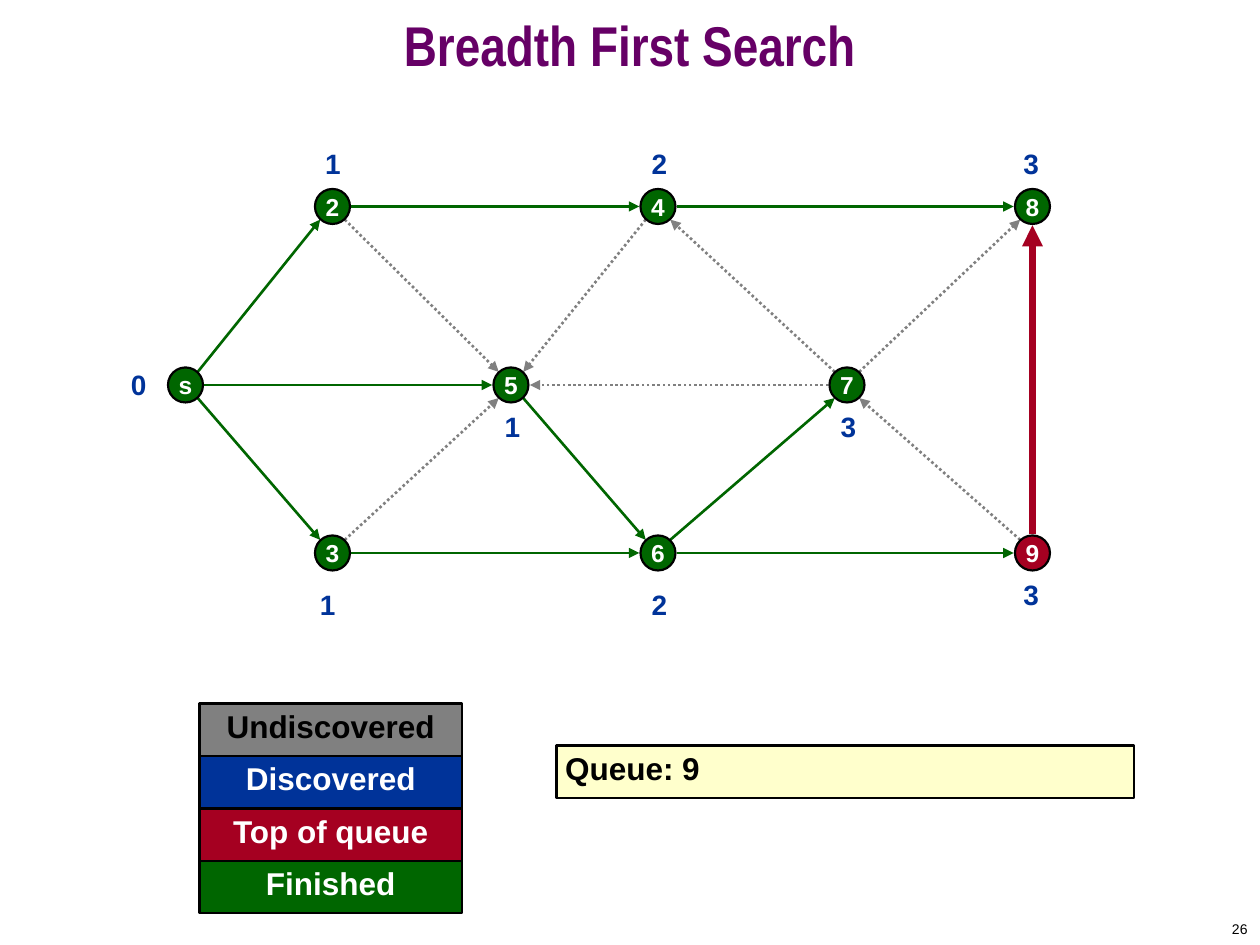
from lxml import etree
from pptx import Presentation
from pptx.dml.color import RGBColor
from pptx.enum.dml import MSO_LINE_DASH_STYLE as Dash
from pptx.enum.shapes import MSO_CONNECTOR as Connector, MSO_SHAPE as Shape
from pptx.enum.text import MSO_ANCHOR as Anchor, MSO_AUTO_SIZE as AutoSize, PP_ALIGN as Align
from pptx.oxml.ns import qn
from pptx.util import Pt

COLORS = {
    "title": "660066", "undiscovered": "808080", "discovered": "003399",
    "top": "A50021", "finished": "006600", "queue": "FFFFCC",
    "black": "000000", "white": "FFFFFF",
}
NODE_SIZE = 20
LABEL_SIZE = (26.5, 19.5)

# Node: centre x, centre y
NODES = {
    "s": (106, 220), "2": (190, 118), "3": (190, 316),
    "4": (376, 118), "5": (292, 220), "6": (376, 316),
    "7": (484, 220), "8": (590, 118), "9": (590, 316),
}
TREE_EDGES = ["s2", "s5", "s3", "24", "48", "36", "56", "67", "69"]
OTHER_EDGES = ["25", "35", "45", "75", "74", "78", "97"]

# Distance from s: text, left, top
DISTANCES = [
    ("0", 66, 210), ("1", 177, 84), ("1", 174, 336), ("1", 279.5, 234),
    ("2", 363.5, 84), ("2", 363.5, 336), ("3", 471.5, 234),
    ("3", 576, 84), ("3", 576, 330),
]
LEGEND = [
    ("Undiscovered", "undiscovered", "black"), ("Discovered", "discovered", "white"),
    ("Top of queue", "top", "white"), ("Finished", "finished", "white"),
]


def color(name):
    return RGBColor.from_string(COLORS[name])


def write(box, text, size, font_color, align=Align.CENTER, bold=True, font="Arial"):
    box.text_frame.text = text
    para = box.text_frame.paragraphs[0]
    para.alignment = align
    para.font.name = font
    para.font.size = Pt(size)
    para.font.bold = bold
    para.font.color.rgb = color(font_color)
    return para


def set_insets(frame, left=0, top=0):
    frame.margin_left, frame.margin_top = Pt(left), Pt(top)
    frame.margin_right = frame.margin_bottom = 0


def add_outlined(page, kind, left, top, width, height, fill):
    shape = page.shapes.add_shape(kind, Pt(left), Pt(top), Pt(width), Pt(height))
    shape.shadow.inherit = False
    shape.fill.solid()
    shape.fill.fore_color.rgb = color(fill)
    shape.line.color.rgb = color("black")
    shape.line.width = Pt(1.25)
    return shape


def add_node(page, name, fill):
    x, y = NODES[name]
    node = add_outlined(page, Shape.OVAL, x - NODE_SIZE / 2, y - NODE_SIZE / 2,
                        NODE_SIZE, NODE_SIZE, fill)
    node.text_frame.word_wrap = False
    node.text_frame.vertical_anchor = Anchor.MIDDLE
    write(node, name, 14, "white")


def add_bar(page, left, top, width, text, fill, font_color, align=Align.CENTER, indent=0):
    bar = add_outlined(page, Shape.RECTANGLE, left, top, width, 30, fill)
    bar.text_frame.vertical_anchor = Anchor.TOP
    set_insets(bar.text_frame, indent, 2)
    write(bar, text, 18, font_color, align)


def add_text(page, left, top, width, height, text, size, font_color, **style):
    box = page.shapes.add_textbox(Pt(left), Pt(top), Pt(width), Pt(height))
    box.text_frame.word_wrap = True
    write(box, text, size, font_color, **style)
    return box


def sign(value):
    return (value > 0) - (value < 0)


def add_edge(page, edge, line_color, width=1.5, dotted=False):
    """Draw an arrow between the rims of two nodes."""
    (x1, y1), (x2, y2) = (NODES[name] for name in edge)
    step_x, step_y = sign(x2 - x1), sign(y2 - y1)
    gap_x, gap_y = (7, 7.5) if step_x and step_y else (10.75, 10.75)
    dx, dy = step_x * gap_x, step_y * gap_y
    arrow = page.shapes.add_connector(Connector.STRAIGHT, Pt(x1 + dx), Pt(y1 + dy),
                                      Pt(x2 - dx), Pt(y2 - dy))
    arrow.line.color.rgb = color(line_color)
    arrow.line.width = Pt(width)
    if dotted:
        arrow.line.dash_style = Dash.ROUND_DOT
    etree.SubElement(arrow.line._get_or_add_ln(), qn("a:tailEnd"), type="triangle")
    etree.SubElement(arrow._element.spPr, qn("a:effectLst"))


def add_title(page, text):
    title = page.shapes.title
    title.left, title.top, title.width, title.height = 0, 0, Pt(720), Pt(60)
    title.text_frame.auto_size = AutoSize.NONE
    title.text_frame.vertical_anchor = Anchor.MIDDLE
    write(title, text, 32, "title", font="Arial Narrow").line_spacing = 0.7


def main():
    deck = Presentation()
    deck.slide_width, deck.slide_height = Pt(720), Pt(540)
    page = deck.slides.add_slide(deck.slide_layouts[5])
    add_title(page, "Breadth First Search")

    # Graph
    for edge in OTHER_EDGES:
        add_edge(page, edge, "undiscovered", dotted=True)
    for edge in TREE_EDGES:
        add_edge(page, edge, "finished")
    for name in NODES:
        add_node(page, name, "top" if name == "9" else "finished")
    add_edge(page, "98", "top", width=4)

    # Distances
    for text, left, top in DISTANCES:
        label = add_text(page, left, top, *LABEL_SIZE, text, 16, "discovered")
        set_insets(label.text_frame)

    # Legend and queue
    for row, (text, fill, font_color) in enumerate(LEGEND):
        add_bar(page, 114, 402 + 30 * row, 150, text, fill, font_color)
    add_bar(page, 318, 426, 330, "Queue: 9", "queue", "black", Align.LEFT, indent=5)

    # Slide number
    number = add_text(page, 570, 522, 150, 18, "26", 8, "black",
                      align=Align.RIGHT, bold=False)
    number.text_frame.vertical_anchor = Anchor.MIDDLE

    deck.save("out.pptx")


if __name__ == "__main__":
    main()
